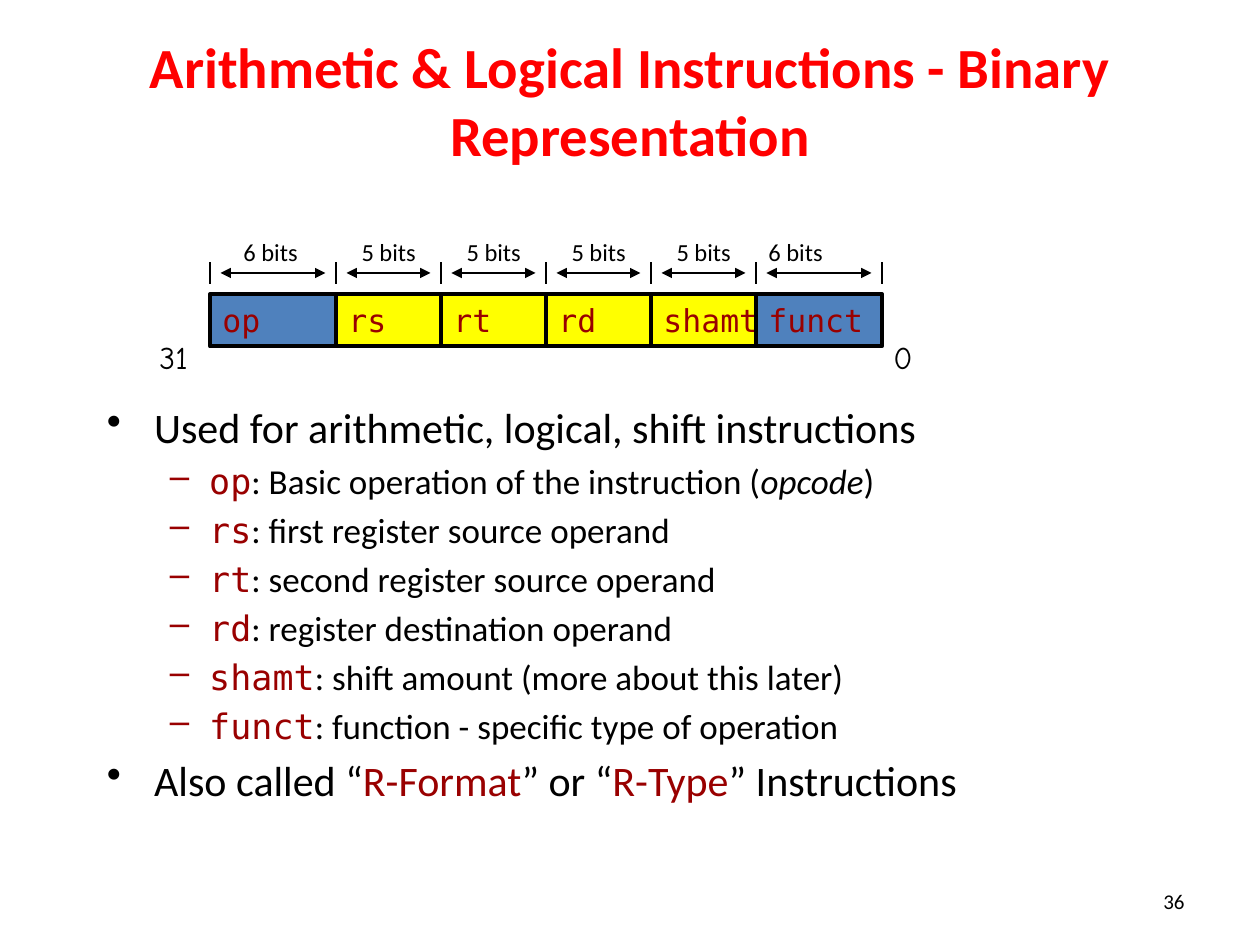
from lxml.etree import SubElement
from pptx import Presentation
from pptx.dml.color import RGBColor
from pptx.enum.shapes import MSO_CONNECTOR, MSO_SHAPE
from pptx.enum.text import MSO_ANCHOR, PP_ALIGN
from pptx.oxml.ns import qn
from pptx.util import Pt

COLOURS = {"title": "FF0000", "text": "000000", "code": "990000",
           "edge": "5 bits", "opcode": "4F81BD", "register": "FFFF00"}
COLOURS["edge"] = COLOURS["text"]
SANS, MONO, HAND = "Calibri", "DejaVu Sans Mono", "Comic Neue"

deck = Presentation()
deck.slide_width, deck.slide_height = Pt(720), Pt(540)
page = deck.slides.add_slide(deck.slide_layouts[6])


def add_text(text, left, top, width, height, size, name=SANS, colour="text",
             align=PP_ALIGN.LEFT, anchor=MSO_ANCHOR.TOP, wrap=False):
    box = page.shapes.add_textbox(Pt(left), Pt(top), Pt(width), Pt(height))
    box.text_frame.word_wrap = wrap
    box.text_frame.vertical_anchor = anchor
    para = box.text_frame.paragraphs[0]
    para.text, para.alignment = text, align
    para.font.size, para.font.name = Pt(size), name
    para.font.color.rgb = RGBColor.from_string(COLOURS[colour])
    return box


def add_line(x1, y1, x2, y2, arrows=False):
    line = page.shapes.add_connector(MSO_CONNECTOR.STRAIGHT, Pt(x1), Pt(y1), Pt(x2), Pt(y2))
    line.line.width = Pt(1)
    line.line.color.rgb = RGBColor.from_string(COLOURS["edge"])
    if arrows:
        for end in ("a:headEnd", "a:tailEnd"):
            SubElement(line.line._get_or_add_ln(), qn(end), type="triangle")
    SubElement(line._element.spPr, qn("a:effectLst"))


add_text("36", 516, 500.4, 168, 28.8, 12, align=PP_ALIGN.RIGHT,
         anchor=MSO_ANCHOR.MIDDLE, wrap=True)
title = add_text("Arithmetic & Logical Instructions - Binary Representation",
                 54, 12, 612, 90, 32.4, colour="title", align=PP_ALIGN.CENTER,
                 anchor=MSO_ANCHOR.MIDDLE, wrap=True)
title.text_frame.paragraphs[0].font.bold = True

# Instruction word: each bit is 12 points wide
BIT_WIDTH = 12
fields = [("op", 6, 132), ("rs", 5, 199.5), ("rt", 5, 259.5),
          ("rd", 5, 319.5), ("shamt", 5, 379.5), ("funct", 6, 432)]
left = 120
add_line(left, 162, left, 150)
for field, bits, label_left in fields:
    width = bits * BIT_WIDTH
    cell = page.shapes.add_shape(MSO_SHAPE.RECTANGLE, Pt(left), Pt(168), Pt(width), Pt(30))
    cell.shadow.inherit = False
    cell.fill.solid()
    cell.fill.fore_color.rgb = RGBColor.from_string(
        COLOURS["opcode" if bits == 6 else "register"])
    cell.line.color.rgb = RGBColor.from_string(COLOURS["edge"])
    cell.line.width = Pt(2.25)
    cell.text_frame.word_wrap = False
    cell.text_frame.vertical_anchor = MSO_ANCHOR.MIDDLE
    para = cell.text_frame.paragraphs[0]
    para.text, para.alignment = field, PP_ALIGN.LEFT
    para.font.size, para.font.name = Pt(18), MONO
    para.font.color.rgb = RGBColor.from_string(COLOURS["code"])

    add_line(left + 6, 156, left + width - 6, 156, arrows=True)
    add_text(f"{bits} bits", label_left, 132, 46.8, 24, 14)
    left += width
    add_line(left, 162, left, 150)

add_text("31", 84, 189.5, 36.5, 29, 18, HAND)
add_text("0", 503.5, 189.5, 25, 29, 18, HAND)

# Explanation: each paragraph is a level and its (text, style) spans
paragraphs = [
    (0, [("Used for arithmetic, logical, shift instructions", "plain")]),
    (1, [("op", "code"), (": Basic operation of the instruction (", "plain"),
         ("opcode", "italic"), (")", "plain")]),
    (1, [("rs", "code"), (": first register source operand", "plain")]),
    (1, [("rt", "code"), (": second register source operand", "plain")]),
    (1, [("rd", "code"), (": register destination operand", "plain")]),
    (1, [("shamt", "code"), (": shift amount (more about this later)", "plain")]),
    (1, [("funct", "code"), (": function - specific type of operation", "plain")]),
    (0, [("Also called “", "plain"), ("R-Format", "term"), ("” or “", "plain"),
         ("R-Type", "term"), ("” Instructions", "plain")]),
]
levels = [("•", 24, 27, 27), ("–", 20, 58.5, 22.5)]  # bullet, size, margin, hanging
body = page.shapes.add_textbox(Pt(54), Pt(226), Pt(612), Pt(243.5)).text_frame
body.word_wrap = True
for index, (level, spans) in enumerate(paragraphs):
    bullet, size, margin, hanging = levels[level]
    para = body.add_paragraph() if index else body.paragraphs[0]
    para.level = level
    if index:
        para.space_before = Pt(size * 0.2)
    properties = para._p.get_or_add_pPr()
    properties.set("marL", str(Pt(margin)))
    properties.set("indent", str(-Pt(hanging)))
    SubElement(properties, qn("a:buChar"), char=bullet)
    para.font.size = Pt(size)
    for text, style in spans:
        span = para.add_run()
        span.text = text
        span.font.name = MONO if style == "code" else SANS
        span.font.color.rgb = RGBColor.from_string(
            COLOURS["code" if style in ("code", "term") else "text"])
        if style == "italic":
            span.font.italic = True

deck.save("out.pptx")
